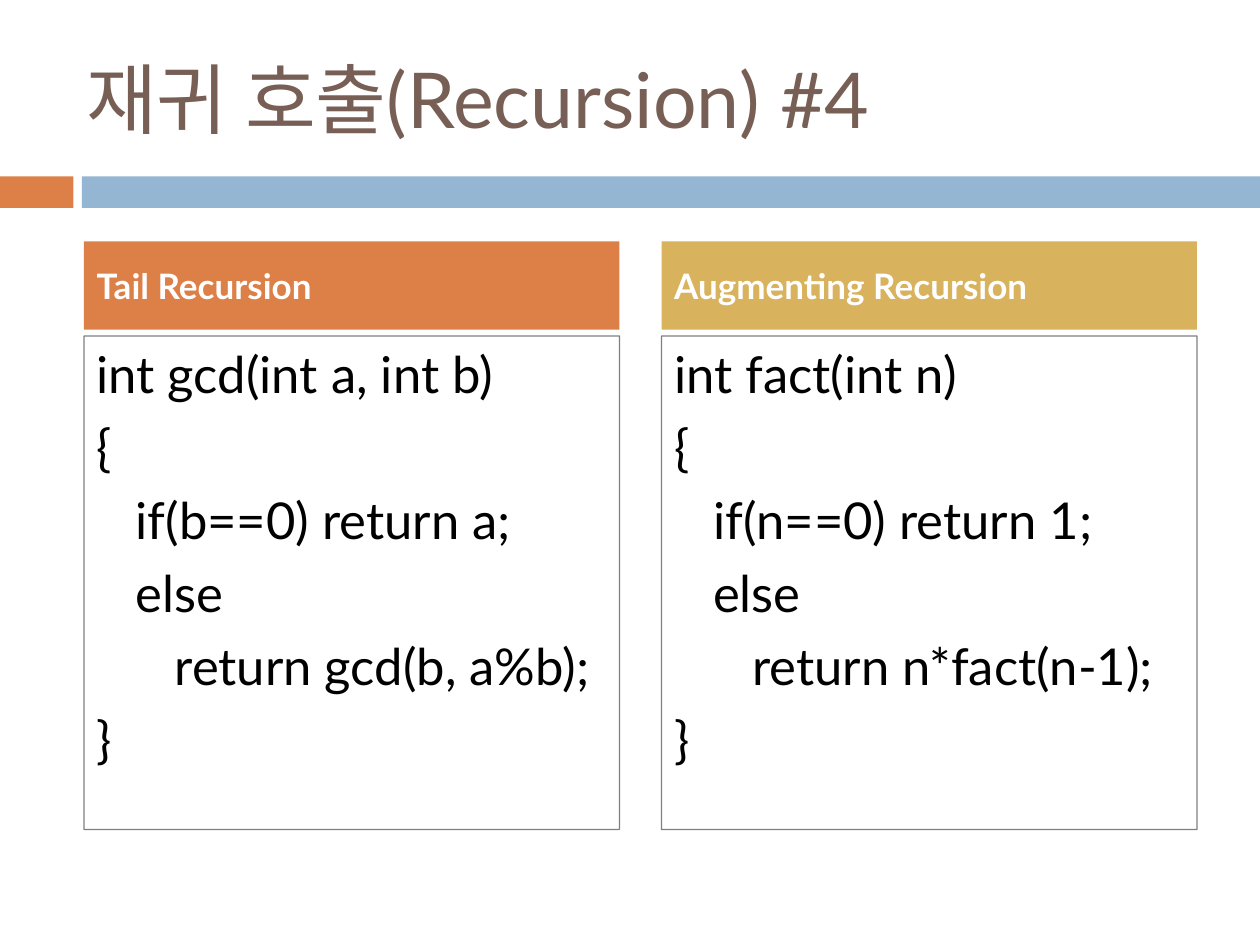
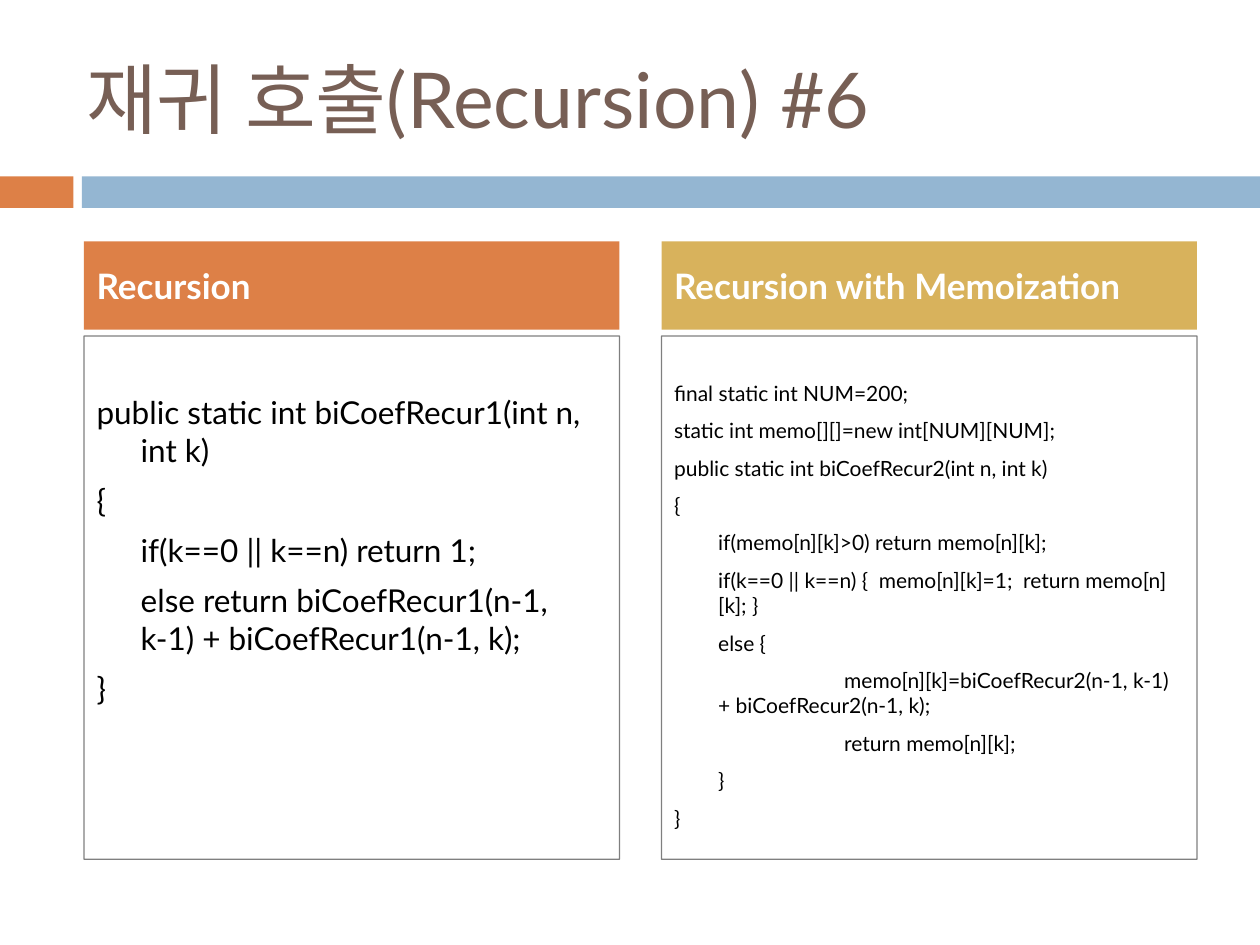
from dataclasses import dataclass

from lxml.etree import SubElement
from pptx import Presentation
from pptx.dml.color import RGBColor
from pptx.enum.shapes import MSO_SHAPE
from pptx.enum.text import MSO_ANCHOR, MSO_AUTO_SIZE, PP_ALIGN
from pptx.oxml.ns import qn
from pptx.util import Pt


@dataclass(frozen=True)
class Theme:
    font: str = "Lato"
    title: RGBColor = RGBColor(0x77, 0x5F, 0x55)
    orange: RGBColor = RGBColor(0xDD, 0x80, 0x47)
    blue: RGBColor = RGBColor(0x94, 0xB6, 0xD2)
    gold: RGBColor = RGBColor(0xD8, 0xB2, 0x5C)
    black: RGBColor = RGBColor(0, 0, 0)
    white: RGBColor = RGBColor(0xFF, 0xFF, 0xFF)
    title_size: float = 44
    heading_size: float = 20
    border_width: float = 0.75
    border_opacity: int = 50
    space_before: float = 7
    line_height: float = 1.22
    inset: float = 3.6


@dataclass(frozen=True)
class Box:
    left: float
    top: float
    width: float
    height: float


@dataclass(frozen=True)
class Column:
    left: float
    color: RGBColor
    heading_idx: int
    code_idx: int


@dataclass(frozen=True)
class Listing:
    heading: str
    size: float
    lines: tuple[tuple[int, str], ...]  # (nesting depth, code)


@dataclass(frozen=True)
class Comparison:
    title: str
    code_height: float
    indents: tuple[float, ...]  # first-line start for each nesting depth
    blank_lead: bool  # leave one line free above the code
    listings: tuple[Listing, Listing]


THEME = Theme()
SLIDE_WIDTH, SLIDE_HEIGHT = 720, 540
COMPARISON_LAYOUT = 4
TITLE_BOX = Box(42, 21.6, 642, 68.4)
BANDS = (
    (Box(0, 100.8, 42, 18), THEME.orange),
    (Box(46.8, 100.8, SLIDE_WIDTH - 46.8, 18), THEME.blue),
)
COLUMN_WIDTH, HEADING_TOP, HEADING_HEIGHT, CODE_TOP = 306, 138, 50.4, 192
HANGING = 25.2
COLUMNS = (Column(48, THEME.orange, 1, 2), Column(378, THEME.gold, 3, 4))

COMPARISONS = (
    Comparison("재귀 호출(Recursion) #4", 282, (0, 22.3, 44.6), False, (
        Listing("Tail Recursion", 29, (
            (0, "int gcd(int a, int b)"),
            (0, "{"),
            (1, "if(b==0) return a;"),
            (1, "else"),
            (2, "return gcd(b, a%b);"),
            (0, "}"),
        )),
        Listing("Augmenting Recursion", 29, (
            (0, "int fact(int n)"),
            (0, "{"),
            (1, "if(n==0) return 1;"),
            (1, "else"),
            (2, "return n*fact(n-1);"),
            (0, "}"),
        )),
    )),
    Comparison("재귀 호출(Recursion) #6", 299, (0, HANGING, HANGING + 72), True, (
        Listing("Recursion", 18, (
            (0, "public static int biCoefRecur1(int n, int k)"),
            (0, "{"),
            (1, "if(k==0 || k==n) return 1;"),
            (1, "else return biCoefRecur1(n-1, k-1) + biCoefRecur1(n-1, k);"),
            (0, "}"),
        )),
        Listing("Recursion with Memoization", 12, (
            (0, "final static int NUM=200;"),
            (0, "static int memo[][]=new int[NUM][NUM];"),
            (0, "public static int biCoefRecur2(int n, int k)"),
            (0, "{"),
            (1, "if(memo[n][k]>0) return memo[n][k];"),
            (1, "if(k==0 || k==n) {  memo[n][k]=1;  return memo[n][k]; }"),
            (1, "else {"),
            (2, "memo[n][k]=biCoefRecur2(n-1, k-1) + biCoefRecur2(n-1, k);"),
            (2, "return memo[n][k];"),
            (1, "}"),
            (0, "}"),
        )),
    )),
)


def place(placeholder, box: Box, anchor: MSO_ANCHOR):
    """Move a placeholder and return its text frame, ready for text."""
    placeholder.left, placeholder.top = Pt(box.left), Pt(box.top)
    placeholder.width, placeholder.height = Pt(box.width), Pt(box.height)
    frame = placeholder.text_frame
    frame.word_wrap = True
    frame.auto_size = MSO_AUTO_SIZE.NONE
    frame.vertical_anchor = anchor
    return frame


def add_run(paragraph, text: str, size: float, color: RGBColor, bold: bool = False) -> None:
    paragraph.alignment = PP_ALIGN.LEFT
    run = paragraph.add_run()
    run.text = text
    run.font.name = THEME.font
    run.font.size = Pt(size)
    run.font.bold = bold
    run.font.color.rgb = color


def add_bands(slide, layout) -> None:
    """Draw the bands and hand them to the layout that all slides share."""
    for box, color in BANDS:
        band = slide.shapes.add_shape(
            MSO_SHAPE.RECTANGLE, Pt(box.left), Pt(box.top), Pt(box.width), Pt(box.height))
        band.shadow.inherit = False
        band.fill.solid()
        band.fill.fore_color.rgb = color
        band.line.fill.background()
        layout.shapes.element.append(band.element)


def fill_heading(placeholder, column: Column, text: str) -> None:
    box = Box(column.left, HEADING_TOP, COLUMN_WIDTH, HEADING_HEIGHT)
    frame = place(placeholder, box, MSO_ANCHOR.MIDDLE)
    placeholder.fill.solid()
    placeholder.fill.fore_color.rgb = column.color
    heading = frame.paragraphs[0]
    heading.space_before = Pt(THEME.space_before)
    add_run(heading, text, THEME.heading_size, THEME.white, bold=True)


def fill_code(placeholder, column: Column, comparison: Comparison, listing: Listing) -> None:
    box = Box(column.left, CODE_TOP, COLUMN_WIDTH, comparison.code_height)
    frame = place(placeholder, box, MSO_ANCHOR.TOP)
    if comparison.blank_lead:
        frame.margin_top = Pt(
            THEME.inset + THEME.line_height * listing.size + THEME.space_before)

    # Half-transparent border
    placeholder.line.width = Pt(THEME.border_width)
    placeholder.line.color.rgb = THEME.black
    border_color = placeholder.line._get_or_add_ln().find(".//" + qn("a:srgbClr"))
    SubElement(border_color, qn("a:alpha"), val=str(THEME.border_opacity * 1000))

    # Code lines, indented by nesting depth
    for number, (depth, code) in enumerate(listing.lines):
        line = frame.add_paragraph() if number else frame.paragraphs[0]
        line.space_before = Pt(THEME.space_before)
        add_run(line, code, listing.size, THEME.black)
        properties = line._p.get_or_add_pPr()
        properties.set("marL", str(Pt(HANGING)))
        properties.set("indent", str(Pt(comparison.indents[depth]) - Pt(HANGING)))
        SubElement(properties, qn("a:buNone"))


def fill_slide(slide, comparison: Comparison) -> None:
    title_frame = place(slide.shapes.title, TITLE_BOX, MSO_ANCHOR.MIDDLE)
    add_run(title_frame.paragraphs[0], comparison.title, THEME.title_size, THEME.title)
    for column, listing in zip(COLUMNS, comparison.listings):
        fill_heading(slide.placeholders[column.heading_idx], column, listing.heading)
        fill_code(slide.placeholders[column.code_idx], column, comparison, listing)


def main() -> None:
    presentation = Presentation()
    presentation.slide_width, presentation.slide_height = Pt(SLIDE_WIDTH), Pt(SLIDE_HEIGHT)
    layout = presentation.slide_layouts[COMPARISON_LAYOUT]
    slides = [presentation.slides.add_slide(layout) for _ in COMPARISONS]
    add_bands(slides[0], layout)
    for slide, comparison in zip(slides, COMPARISONS):
        fill_slide(slide, comparison)
    presentation.save("out.pptx")


if __name__ == "__main__":
    main()
